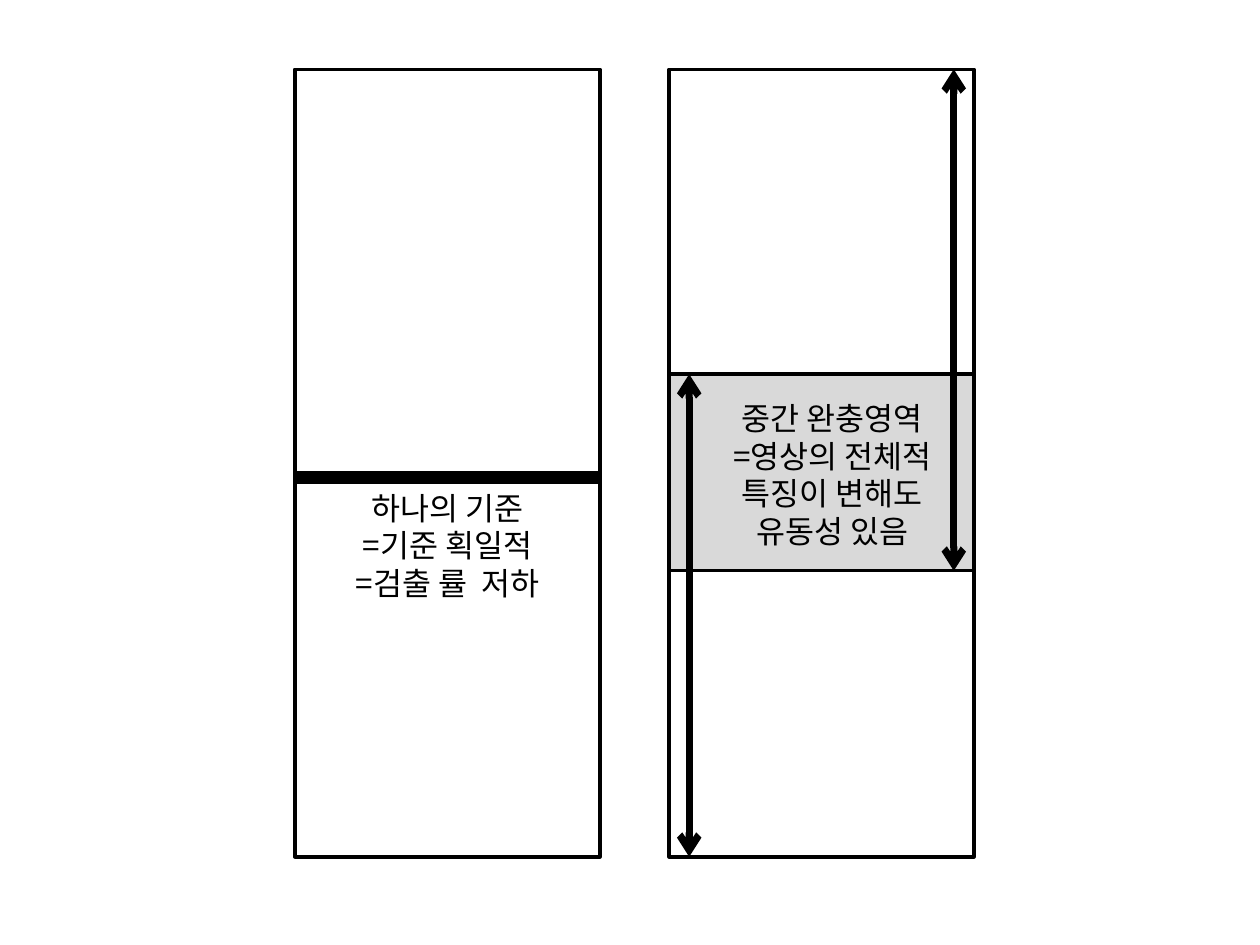
from pptx import Presentation
from pptx.dml.color import RGBColor as Color
from pptx.enum.shapes import MSO_CONNECTOR as Connector, MSO_SHAPE as Shape
from pptx.enum.text import PP_ALIGN as Align
from pptx.oxml.ns import qn
from pptx.util import Inches, Pt
from lxml.etree import SubElement

COLORS = {"ink": "000000", "paper": "FFFFFF", "buffer": "D9D9D9"}
FONT = "Noto Sans CJK KR"

# Grid: two equal columns and the rows that divide them
COLUMN_WIDTH = 2.42
LEFT, RIGHT = 2.34, 5.31
TOP, BOTTOM = 0.55, 6.8
THRESHOLD, THRESHOLD_END = 3.75, 3.83
BUFFER_TOP, BUFFER_BOTTOM = 2.97, 4.53
ARROW_INSET = 0.16

deck = Presentation()
deck.slide_width, deck.slide_height = Inches(10), Inches(7.5)
page = deck.slides.add_slide(deck.slide_layouts[6])


def add_label(lines, left, top, width, height, size=18, color="ink", leading=21.5):
    box = page.shapes.add_textbox(*map(Inches, (left, top, width, height)))
    frame = box.text_frame
    frame.word_wrap = True
    for index, line in enumerate(lines):
        para = frame.add_paragraph() if index else frame.paragraphs[0]
        para.alignment = Align.CENTER
        para.line_spacing = Pt(leading)
        span = para.add_run()
        span.text = line
        span.font.size = Pt(size)
        span.font.name = FONT
        span.font.color.rgb = Color.from_string(COLORS[color])
        SubElement(span.font._element, qn("a:ea"), typeface=FONT)


# Columns, threshold bar and buffer zone
for left, top, bottom, fill in (
    (LEFT, TOP, BOTTOM, "paper"),
    (RIGHT, TOP, BOTTOM, "paper"),
    (LEFT, THRESHOLD, THRESHOLD_END, "ink"),
    (RIGHT, BUFFER_TOP, BUFFER_BOTTOM, "buffer"),
):
    block = page.shapes.add_shape(
        Shape.RECTANGLE, *map(Inches, (left, top, COLUMN_WIDTH, bottom - top)))
    block.shadow.inherit = False
    block.fill.solid()
    block.fill.fore_color.rgb = Color.from_string(COLORS[fill])
    block.line.color.rgb = Color.from_string(COLORS["ink"])
    block.line.width = Pt(2)

# Left label
add_label(["하나의 기준", "=기준 획일적", "=검출 률  저하"],
          LEFT, THRESHOLD_END, COLUMN_WIDTH, 1.01)

# Overlapping ranges, each with an arrowhead at both ends
for x, start, end in (
    (RIGHT + ARROW_INSET, BOTTOM, BUFFER_TOP),
    (RIGHT + COLUMN_WIDTH - ARROW_INSET, BUFFER_BOTTOM, TOP),
):
    arrow = page.shapes.add_connector(
        Connector.STRAIGHT, *map(Inches, (x, start, x, end)))
    arrow.line.color.rgb = Color.from_string(COLORS["ink"])
    arrow.line.width = Pt(4)
    outline = arrow.line._get_or_add_ln()
    for tip in ("a:headEnd", "a:tailEnd"):
        SubElement(outline, qn(tip), type="arrow")
    SubElement(arrow._element.spPr, qn("a:effectLst"))

# Buffer label
add_label(["중간 완충영역", "=영상의 전체적 특징이 변해도 유동성 있음"],
          5.55, 3.12, 2.11, 1.31)

deck.save("out.pptx")
